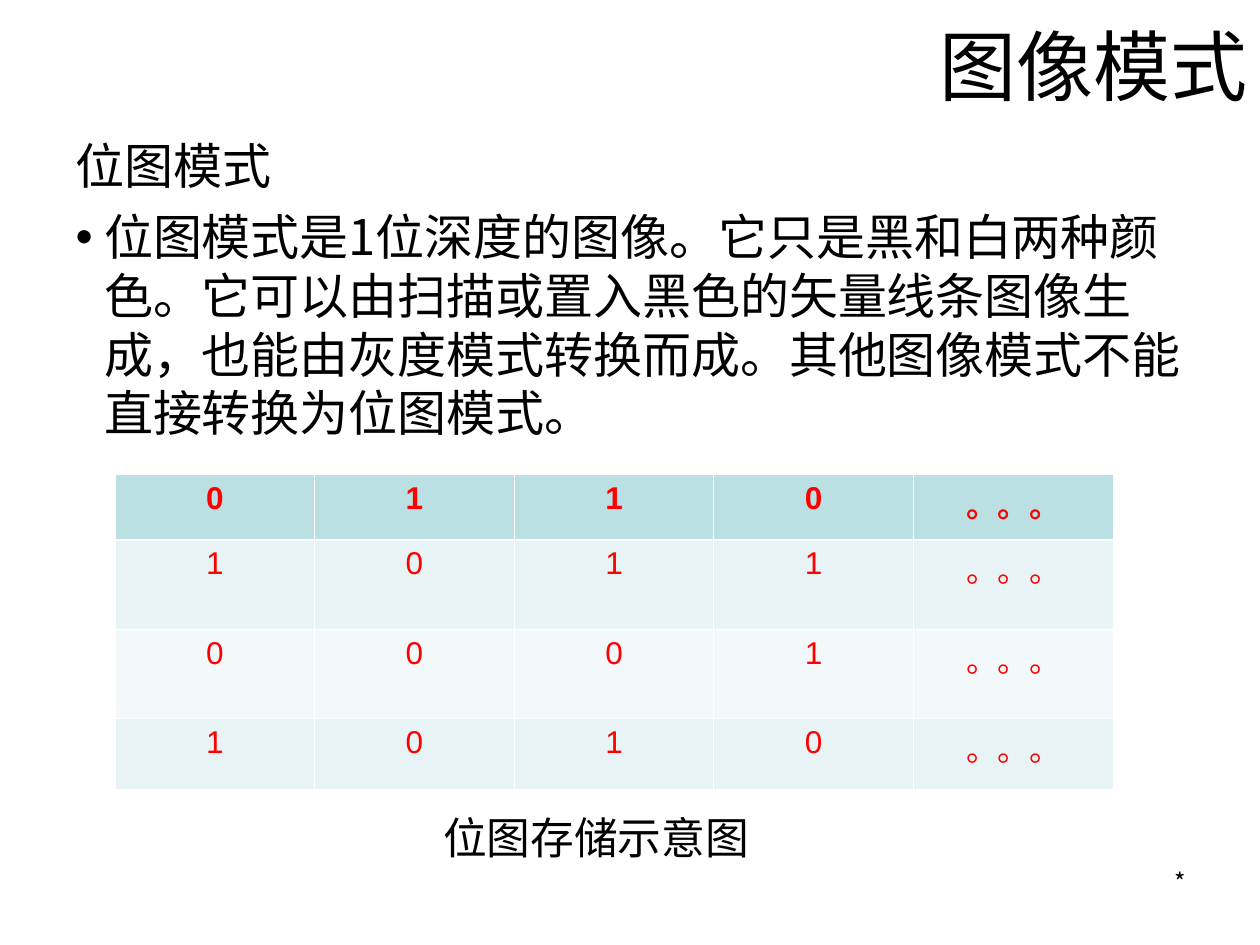
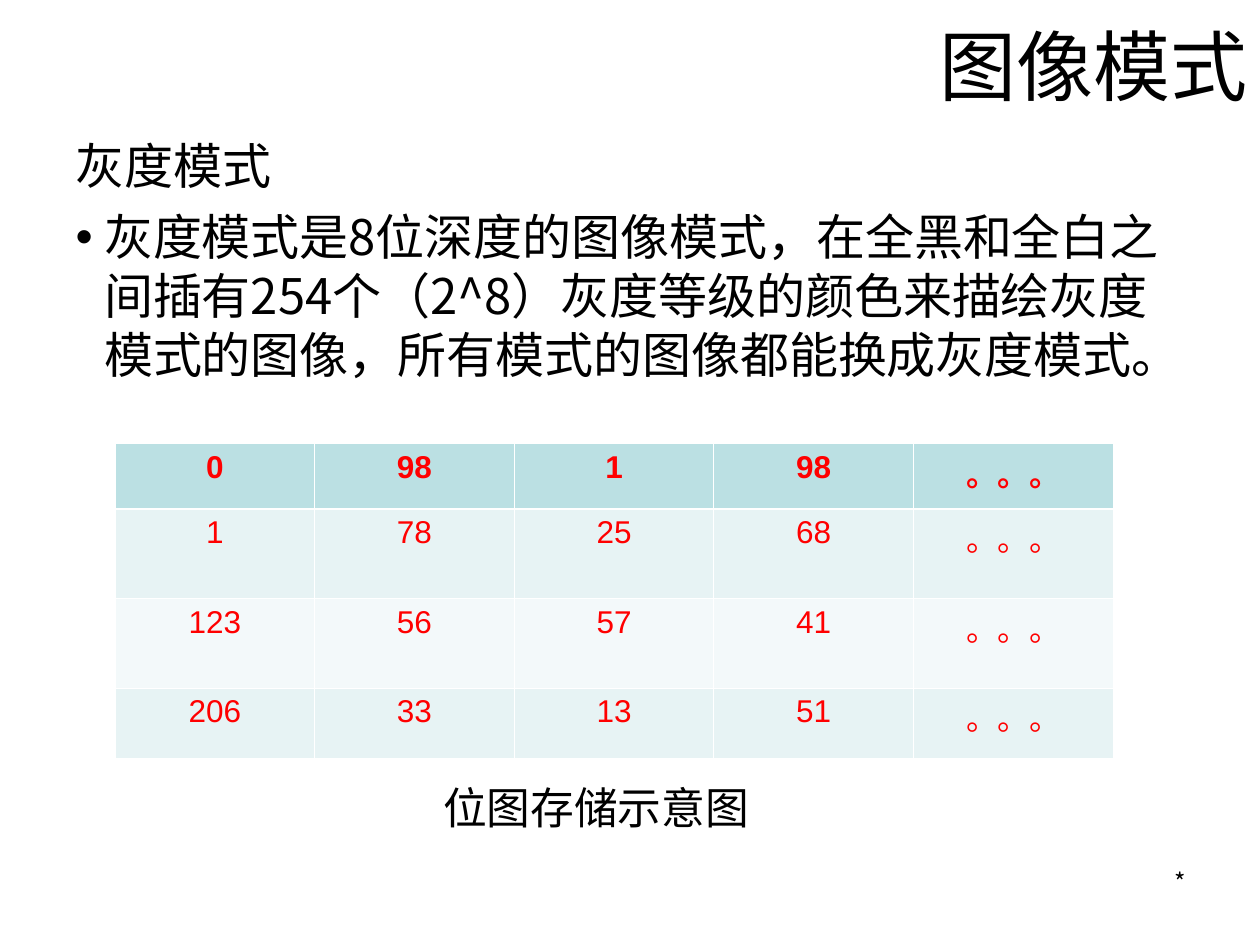
import pptx
import pptx.util
import pptx.dml.color
import pptx.enum.text
import pptx.oxml
import pptx.oxml.ns

Pt = pptx.util.Pt
ALIGN = pptx.enum.text.PP_ALIGN
ANCHOR = pptx.enum.text.MSO_ANCHOR
AUTO = pptx.enum.text.MSO_AUTO_SIZE
NS = pptx.oxml.ns.nsdecls("a")

CJK, LATIN = "Noto Sans CJK SC", "Arial"
BLACK, RED, WHITE = "000000", "FF0000", "FFFFFF"
HEADER_FILL, BAND_FILLS = "BBE0E3", ("E7F3F4", "F3F9FA")
ROW_HEIGHTS = (37.4, 51.2, 51.2, 40.2)
THIN, THICK = 0.45, 1.47
HANG = 16.3

TITLE_BOX = (72, 0, 648, 74.2)
BODY_BOX = (36, 74.2, 648, 387.4)
MARK_BOX = (516.2, 491.8, 168.5, 37.4)
TABLE_SIZE = (570.4, sum(ROW_HEIGHTS))
TABLE_LEFT = 65.7
CAPTION_SIZE = (200, 37.4)
CAPTION_LEFT, CAPTION_GAP = 246.2, 9


def rgb(value):
    return pptx.dml.color.RGBColor.from_string(value)


def add_run(p, text, size, font=CJK, color=BLACK, bold=False):
    r = p.add_run()
    r.text = text
    r.font.size, r.font.bold, r.font.name = Pt(size), bold, font
    r.font.color.rgb = rgb(color)
    r.font._element.append(pptx.oxml.parse_xml(f'<a:ea {NS} typeface="{CJK}"/>'))


def place(shape, box):
    shape.left, shape.top, shape.width, shape.height = map(Pt, box)


def add_title(s, box, text):
    title = s.shapes.title
    place(title, box)
    tf = title.text_frame
    tf.auto_size, tf.vertical_anchor = AUTO.NONE, ANCHOR.MIDDLE
    p = tf.paragraphs[0]
    p.alignment = ALIGN.RIGHT
    add_run(p, text, 44)


def add_body(s, box, heading, text):
    """Fill the body placeholder with a plain heading and one bullet."""
    body = s.placeholders[1]
    place(body, box)
    tf = body.text_frame
    tf.auto_size = AUTO.NONE
    bullet = f'<a:buFont {NS} typeface="{LATIN}"/>', f'<a:buChar {NS} char="•"/>'
    paragraphs = (
        (tf.paragraphs[0], heading, 0, 0, (f"<a:buNone {NS}/>",)),
        (tf.add_paragraph(), text, HANG, 7, bullet),
    )
    for p, words, indent, before, marks in paragraphs:
        pPr = p._p.get_or_add_pPr()
        pPr.set("marL", str(Pt(indent)))
        pPr.set("indent", str(-Pt(indent)))
        pPr.set("hangingPunct", "0")
        for mark in marks:
            pPr.append(pptx.oxml.parse_xml(mark))
        p.line_spacing, p.space_before = Pt(33.5), Pt(before)
        add_run(p, words, 28)


def add_label(s, box, text, size, font=CJK, align=ALIGN.LEFT):
    tf = s.shapes.add_textbox(*map(Pt, box)).text_frame
    tf.word_wrap = True
    p = tf.paragraphs[0]
    p.alignment = align
    add_run(p, text, size, font)


def set_borders(cell, top, bottom):
    tcPr = cell._tc.get_or_add_tcPr()
    widths = {"lnL": THIN, "lnR": THIN, "lnT": top, "lnB": bottom}
    for i, (tag, width) in enumerate(widths.items()):
        tcPr.insert(i, pptx.oxml.parse_xml(
            f'<a:{tag} {NS} w="{Pt(width)}"><a:solidFill>'
            f'<a:srgbClr val="{WHITE}"/></a:solidFill></a:{tag}>'))


def add_pixel_table(s, box, rows):
    """Draw the stored pixel values, each row ending in an ellipsis."""
    table = s.shapes.add_table(len(rows), len(rows[0]) + 1, *map(Pt, box)).table
    for row, height in zip(table.rows, ROW_HEIGHTS):
        row.height = Pt(height)
    for i, values in enumerate(rows):
        fill = BAND_FILLS[(i - 1) % 2] if i else HEADER_FILL
        for j, value in enumerate((*values, "。。。")):
            cell = table.cell(i, j)
            cell.fill.solid()
            cell.fill.fore_color.rgb = rgb(fill)
            set_borders(cell, THICK if i == 1 else THIN, THICK if i == 0 else THIN)
            p = cell.text_frame.paragraphs[0]
            p.alignment = ALIGN.CENTER
            add_run(p, str(value), 18, LATIN, RED, bold=i == 0)


def add_mode_slide(prs, heading, text, table_top, rows):
    s = prs.slides.add_slide(prs.slide_layouts[1])
    add_title(s, TITLE_BOX, "图像模式")
    add_body(s, BODY_BOX, heading, text)
    add_label(s, MARK_BOX, "*", 14, align=ALIGN.RIGHT)
    add_pixel_table(s, (TABLE_LEFT, table_top, *TABLE_SIZE), rows)
    caption_top = table_top + TABLE_SIZE[1] + CAPTION_GAP
    add_label(s, (CAPTION_LEFT, caption_top, *CAPTION_SIZE), "位图存储示意图", 25, LATIN)


def main():
    prs = pptx.Presentation()
    prs.slide_width, prs.slide_height = Pt(720), Pt(540)
    add_mode_slide(
        prs, "位图模式",
        "位图模式是1位深度的图像。它只是黑和白两种颜色。它可以由扫描或置入黑色的矢量线条图像生成，"
        "也能由灰度模式转换而成。其他图像模式不能直接转换为位图模式。",
        271, ((0, 1, 1, 0), (1, 0, 1, 1), (0, 0, 0, 1), (1, 0, 1, 0)))
    add_mode_slide(
        prs, "灰度模式",
        "灰度模式是8位深度的图像模式，在全黑和全白之间插有254个（2^8）灰度等级的颜色来描绘灰度模式的图像，"
        "所有模式的图像都能换成灰度模式。",
        253.4, ((0, 98, 1, 98), (1, 78, 25, 68), (123, 56, 57, 41), (206, 33, 13, 51)))
    prs.save("out.pptx")


if __name__ == "__main__":
    main()
